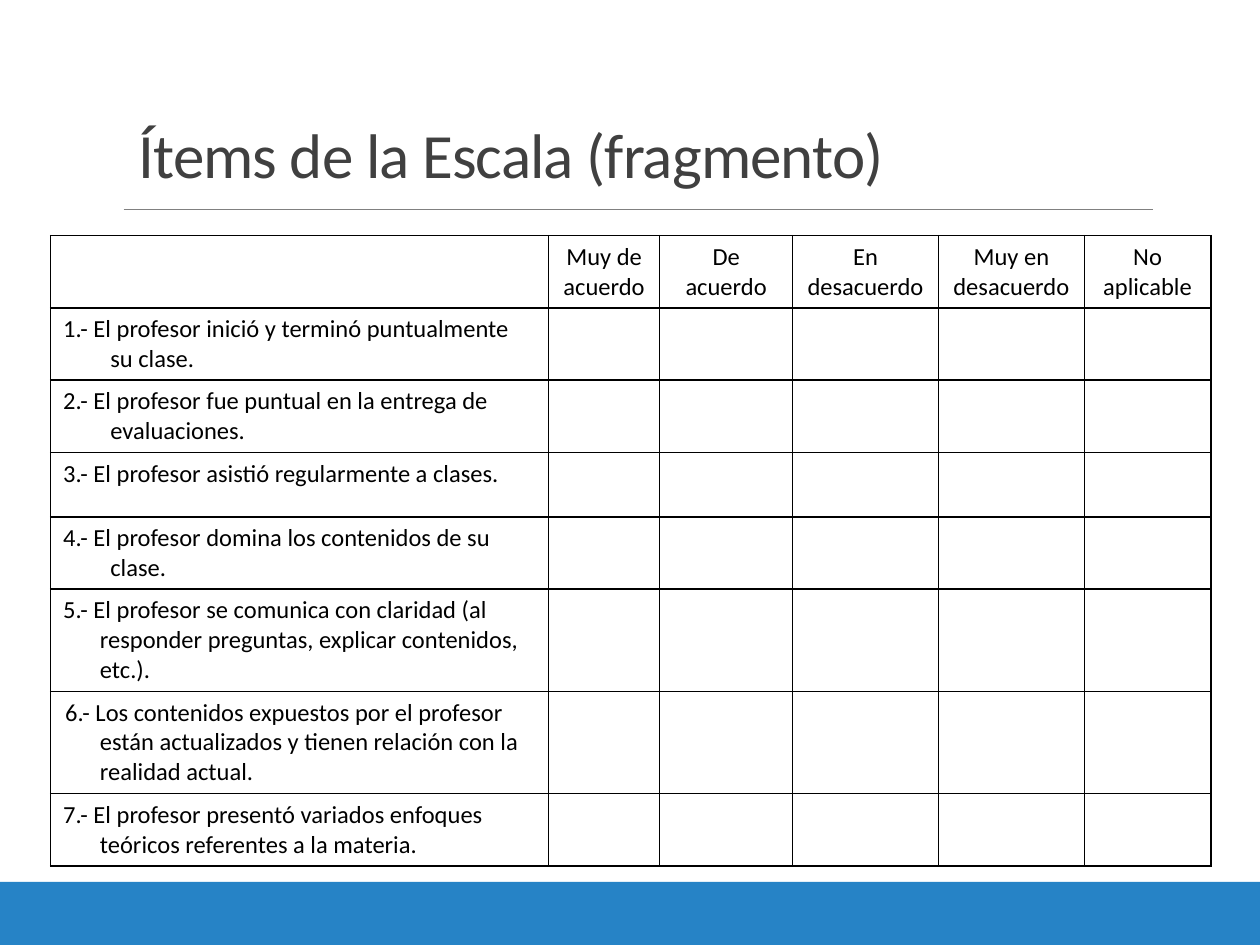
import pptx
import pptx.util
import pptx.dml.color
import pptx.enum.shapes
import pptx.enum.text
import pptx.oxml
import pptx.oxml.ns
from lxml import etree

Cm, Pt = pptx.util.Cm, pptx.util.Pt
ALIGN = pptx.enum.text.PP_ALIGN
qn = pptx.oxml.ns.qn

# Content
HEADING = "Ítems de la Escala (fragmento)"
ANSWERS = ["Muy de acuerdo", "De acuerdo", "En desacuerdo",
           "Muy en desacuerdo", "No aplicable"]
# statement, row height, left margin, first-line indent (cm)
ITEMS = [
    ("1.- El profesor inició y terminó puntualmente su clase.", 1.45, 0.95, -0.95),
    ("2.- El profesor fue puntual en la entrega de evaluaciones.", 1.45, 0.95, -0.95),
    ("3.- El profesor asistió regularmente a clases.", 1.3, 0.95, -0.95),
    ("4.- El profesor domina los contenidos de su clase.", 1.45, 0.95, -0.95),
    ("5.- El profesor se comunica con claridad (al responder preguntas, "
     "explicar contenidos, etc.).", 2.06, 0.74, -0.74),
    ("6.- Los contenidos expuestos por el profesor están actualizados y "
     "tienen relación con la realidad actual.", 2.06, 0.74, -0.7),
    ("7.- El profesor presentó variados enfoques teóricos referentes a la "
     "materia.", 1.45, 0.74, -0.74),
]
HEADER_HEIGHT = 1.45
COLUMN_WIDTHS = [10.04, 2.24, 2.68, 2.94, 2.94, 2.55]


def color(hex_code):
    return pptx.dml.color.RGBColor.from_string(hex_code)


def format_runs(paragraph, size, hex_code):
    for run in paragraph.runs:
        run.font.name = "Calibri"
        run.font.size = Pt(size)
        run.font.color.rgb = color(hex_code)


def frame_cell(cell):
    """White fill and a thin black border on every side."""
    properties = cell._tc.get_or_add_tcPr()
    for side in ("a:lnL", "a:lnR", "a:lnT", "a:lnB"):
        border = etree.SubElement(properties, qn(side), w=str(Pt(1)))
        fill = etree.SubElement(border, qn("a:solidFill"))
        etree.SubElement(fill, qn("a:srgbClr"), val="000000")
    cell.fill.solid()
    cell.fill.fore_color.rgb = color("FFFFFF")


def write_cell(cell, text):
    paragraph = cell.text_frame.paragraphs[0]
    paragraph.text = text
    format_runs(paragraph, 14, "000000")
    return paragraph


presentation = pptx.Presentation()
presentation.slide_width, presentation.slide_height = Cm(25.4), Cm(19.05)
slide = presentation.slides.add_slide(presentation.slide_layouts[5])

# Bottom band
band = slide.shapes.add_shape(pptx.enum.shapes.MSO_SHAPE.RECTANGLE,
                              Cm(0), Cm(17.78), Cm(25.4), Cm(1.27))
band.shadow.inherit = False
band.fill.solid()
band.fill.fore_color.rgb = color("2683C6")
band.line.fill.background()

# Rule under the title
rule = slide.shapes.add_connector(pptx.enum.shapes.MSO_CONNECTOR.STRAIGHT,
                                  Cm(2.49), Cm(4.22), Cm(23.24), Cm(4.22))
rule.line.color.rgb = color("808080")
rule.line.width = Pt(0.5)
etree.SubElement(rule._element.spPr, qn("a:effectLst"))

# Title
title = slide.shapes.title
title.left, title.top, title.width, title.height = (
    Cm(2.54), Cm(0.81), Cm(22.86), Cm(3.18))
title.text_frame.text = HEADING
title.text_frame.auto_size = pptx.enum.text.MSO_AUTO_SIZE.NONE
title.text_frame.vertical_anchor = pptx.enum.text.MSO_ANCHOR.BOTTOM
heading = title.text_frame.paragraphs[0]
heading.alignment = ALIGN.LEFT
heading.line_spacing = 0.85
format_runs(heading, 36, "404040")
heading.runs[0]._r.get_or_add_rPr().set("spc", "-50")

# Rating scale
row_heights = [HEADER_HEIGHT] + [item[1] for item in ITEMS]
scale = slide.shapes.add_table(
    len(row_heights), len(COLUMN_WIDTHS), Cm(1.02), Cm(4.75),
    Cm(sum(COLUMN_WIDTHS)), Cm(sum(row_heights))).table
scale.first_row = scale.horz_banding = False
for column, width in zip(scale.columns, COLUMN_WIDTHS):
    column.width = Cm(width)
for row, height in zip(scale.rows, row_heights):
    row.height = Cm(height)
for cell in scale.iter_cells():
    frame_cell(cell)

for number, answer in enumerate(ANSWERS, start=1):
    write_cell(scale.cell(0, number), answer).alignment = ALIGN.CENTER
for number, (statement, _, margin, indent) in enumerate(ITEMS, start=1):
    layout = write_cell(scale.cell(number, 0), statement)._p.get_or_add_pPr()
    layout.set("marL", str(Cm(margin)))
    layout.set("indent", str(Cm(indent)))

presentation.save("out.pptx")
